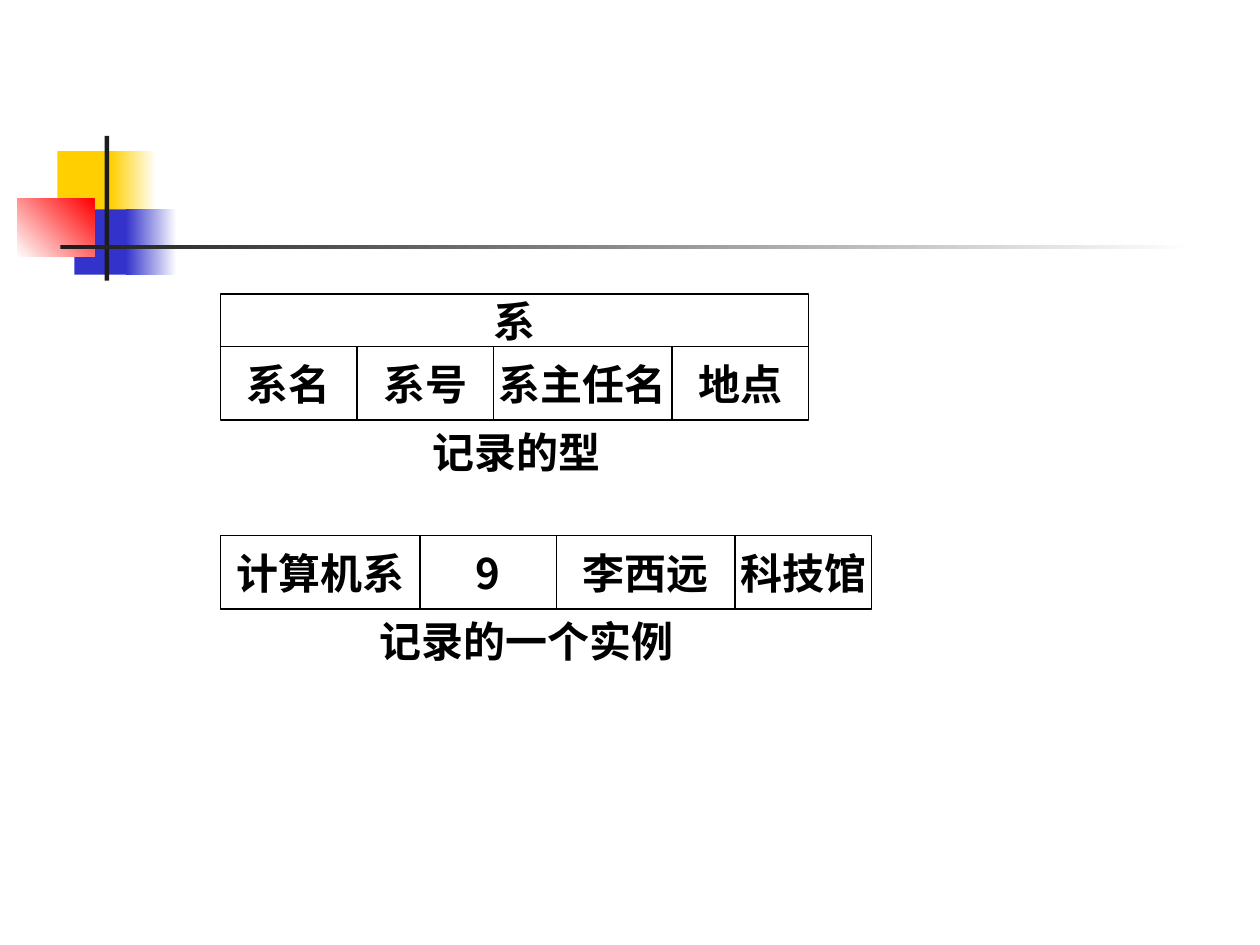
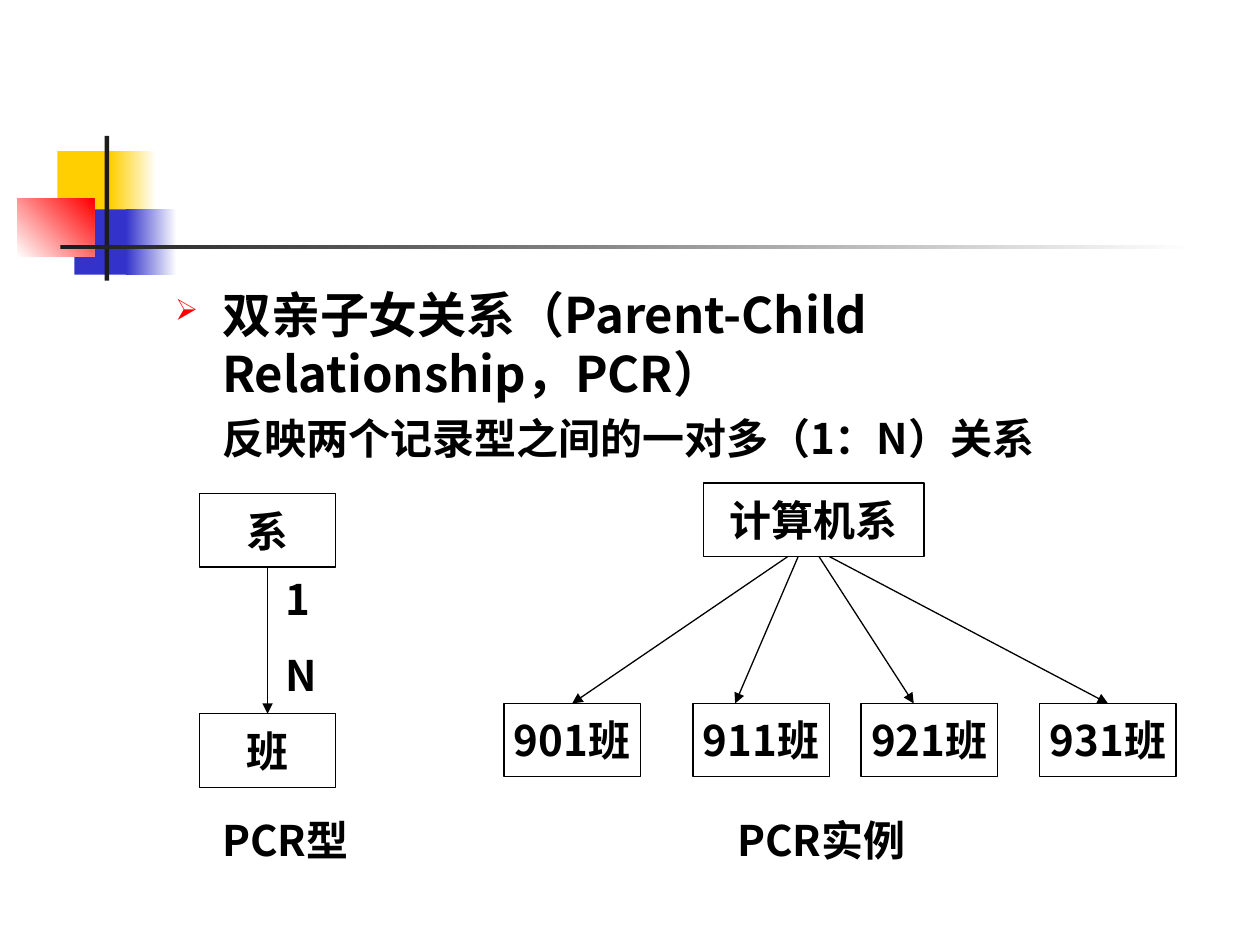
import pptx
import pptx.util
import pptx.dml.color
import pptx.enum.shapes
import pptx.enum.text
import pptx.oxml
import pptx.oxml.ns
from pptx.util import Cm, Pt

COLORS = {"ink": "000000", "paper": "FFFFFF", "yellow": "FFCF01",
          "blue": "3333CC", "red": "FF0000", "rule": "1C1C1C"}
CJK_FONT = "Noto Sans CJK SC"
LATIN_FONT = "Cabin"
ALIGN = pptx.enum.text.PP_ALIGN
ROW_HEIGHT = 1.48
BOX_WIDTH = 2.75

# Shared ornament: left, top, width, height (cm), colours from first to last, angle
ORNAMENT = [
    (1.16, 3.05, 1.22, 1.32, ["yellow"], 0),
    (2.23, 3.05, 0.92, 1.32, ["yellow", "paper"], 0),
    (1.5, 4.22, 1.17, 1.32, ["blue"], 0),
    (2.54, 4.22, 1.02, 1.32, ["blue", "paper"], 0),
    (0.35, 4.01, 1.55, 1.17, ["paper", "red"], 45),
    (2.11, 2.74, 0.09, 2.92, ["rule"], 0),
    (1.22, 4.94, 22.86, 0.09, ["rule", "paper"], 0),
]

# Slide 1: record type and record instance
RECORD_LEFT = 4.45
TYPE_TITLE = ("系", 5.93, 1.06)
TYPE_FIELDS = [("系名", 2.75), ("系号", 2.75), ("系主任名", 3.6), ("地点", 2.75)]
INSTANCE_FIELDS = [("计算机系", 4.02), ("9", 2.75), ("李西远", 3.6), ("科技馆", 2.75)]
INSTANCE_TOP = 10.8
TYPE_CAPTION = ("记录的型", 8.47, 5.72)
INSTANCE_CAPTION = ("记录的一个实例", 7.41, 7.83)

# Slide 2: parent-child relationship
PCR_TEXT = [("双亲子女关系（Parent-Child Relationship，PCR）", 28, 7),
            ("反映两个记录型之间的一对多（1：N）关系", 24, 6)]
TYPE_LEFT = 4.02
TYPE_BOXES = [("系", 9.95), ("班", 14.39)]
PARENT = ("计算机系", 14.18, 9.74, 4.45)
CHILD_TOP = 14.18
# name, left, arrow start, arrow end (None: middle of the top side)
CHILDREN = [("901班", 10.16, 15.88, None), ("911班", 13.97, 16.09, 14.82),
            ("921班", 17.36, 16.51, 18.42), ("931班", 20.96, 16.72, None)]
LABELS = [(["1", "N"], 5.5, 11.43, 1.27, 2.82),
          (["PCR型"], 4.23, 16.3, 4.66, 1.27),
          (["PCR实例"], 14.61, 16.3, 4.66, 1.27)]


def rgb(name):
    return pptx.dml.color.RGBColor.from_string(COLORS[name])


def style_paragraph(para, size, font, before=0, align=ALIGN.LEFT):
    para.alignment = align
    para.space_before = Pt(before)
    para.line_spacing = Pt(round(size * 1.2, 1))
    for span in para.runs:
        span.font.size = Pt(size)
        span.font.bold = True
        span.font.name = font
        span.font.color.rgb = rgb("ink")
        east_asian = pptx.oxml.parse_xml(
            f'<a:ea {pptx.oxml.ns.nsdecls("a")} typeface="{font}"/>')
        span.font._element.find(pptx.oxml.ns.qn("a:latin")).addnext(east_asian)


def add_rectangle(page, left, top, width, height):
    box = page.shapes.add_shape(pptx.enum.shapes.MSO_SHAPE.RECTANGLE,
                                Cm(left), Cm(top), Cm(width), Cm(height))
    box.shadow.inherit = False
    return box


def add_page(deck):
    page = deck.slides.add_slide(deck.slide_layouts[6])
    for left, top, width, height, colors, angle in ORNAMENT:
        band = add_rectangle(page, left, top, width, height)
        band.line.fill.background()
        if len(colors) == 1:
            band.fill.solid()
            band.fill.fore_color.rgb = rgb(colors[0])
        else:
            band.fill.gradient()
            band.fill.gradient_angle = angle
            for stop, color in zip(band.fill.gradient_stops, colors):
                stop.color.rgb = rgb(color)
    return page


def add_box(page, text, left, top, width=BOX_WIDTH, height=ROW_HEIGHT, font=CJK_FONT):
    box = add_rectangle(page, left, top, width, height)
    box.fill.background()
    box.line.color.rgb = rgb("ink")
    box.line.width = Pt(0.75)
    frame = box.text_frame
    frame.text = text
    frame.word_wrap = False
    frame.vertical_anchor = pptx.enum.text.MSO_ANCHOR.MIDDLE
    style_paragraph(frame.paragraphs[0], 24, font, align=ALIGN.CENTER)
    return box


def add_text(page, lines, left, top, width, height):
    frame = page.shapes.add_textbox(Cm(left), Cm(top), Cm(width), Cm(height)).text_frame
    frame.word_wrap = True
    frame.text = "\n".join(lines)
    return frame.paragraphs


def add_label(page, lines, left, top, width, height=1.27, font=CJK_FONT):
    for para in add_text(page, lines, left, top, width, height):
        style_paragraph(para, 24, font, before=15)


def add_record(page, fields, top, font):
    left = RECORD_LEFT
    for name, width in fields:
        add_box(page, name, left, top, width, font=font)
        left += width


def add_arrow(page, start, end):
    arrow = page.shapes.add_connector(pptx.enum.shapes.MSO_CONNECTOR.STRAIGHT,
                                      *map(Cm, start + end))
    arrow.line.color.rgb = rgb("ink")
    arrow.line.width = Pt(0.75)
    namespace = pptx.oxml.ns.nsdecls("a")
    arrow.line._get_or_add_ln().append(
        pptx.oxml.parse_xml(f'<a:tailEnd {namespace} type="triangle"/>'))
    arrow._element.spPr.append(pptx.oxml.parse_xml(f"<a:effectLst {namespace}/>"))
    return arrow


def build_record_page(deck):
    page = add_page(deck)
    title, top, height = TYPE_TITLE
    total = sum(width for _, width in TYPE_FIELDS)
    add_box(page, title, RECORD_LEFT, top, total, height, LATIN_FONT)
    rows = [(TYPE_FIELDS, top + height, TYPE_CAPTION, LATIN_FONT),
            (INSTANCE_FIELDS, INSTANCE_TOP, INSTANCE_CAPTION, CJK_FONT)]
    for fields, row_top, (caption, left, width), font in rows:
        add_record(page, fields, row_top, font)
        add_label(page, [caption], left, row_top + ROW_HEIGHT, width, font=font)


def build_relationship_page(deck):
    page = add_page(deck)

    # Definition: bulleted line and its indented explanation
    paragraphs = add_text(page, [text for text, _, _ in PCR_TEXT], 3.28, 5.61, 21.59, 4.55)
    for para, (_, size, before) in zip(paragraphs, PCR_TEXT):
        style_paragraph(para, size, CJK_FONT, before)
        para._p.get_or_add_pPr().set("marL", str(Cm(0.95)))
    properties = paragraphs[0]._p.get_or_add_pPr()
    properties.set("indent", str(Cm(-0.95)))
    namespace = pptx.oxml.ns.nsdecls("a")
    for bullet in (f'<a:buClr {namespace}><a:srgbClr val="{COLORS["red"]}"/></a:buClr>',
                   f'<a:buSzPct {namespace} val="60000"/>',
                   f'<a:buChar {namespace} char="➢"/>'):
        properties.append(pptx.oxml.parse_xml(bullet))

    # Relationship type
    upper, lower = [add_box(page, name, TYPE_LEFT, top) for name, top in TYPE_BOXES]
    arrow = add_arrow(page, (0, 0), (0, 0))
    arrow.begin_connect(upper, 2)
    arrow.end_connect(lower, 0)

    # Relationship instance
    name, left, top, width = PARENT
    add_box(page, name, left, top, width)
    for name, left, start, end in CHILDREN:
        child = add_box(page, name, left, CHILD_TOP)
        arrow = add_arrow(page, (start, top + ROW_HEIGHT), (end or left, CHILD_TOP))
        if end is None:
            arrow.end_connect(child, 0)

    for label in LABELS:
        add_label(page, *label)


def main():
    deck = pptx.Presentation()
    deck.slide_width, deck.slide_height = Cm(25.4), Cm(19.05)
    build_record_page(deck)
    build_relationship_page(deck)
    deck.save("out.pptx")


if __name__ == "__main__":
    main()
